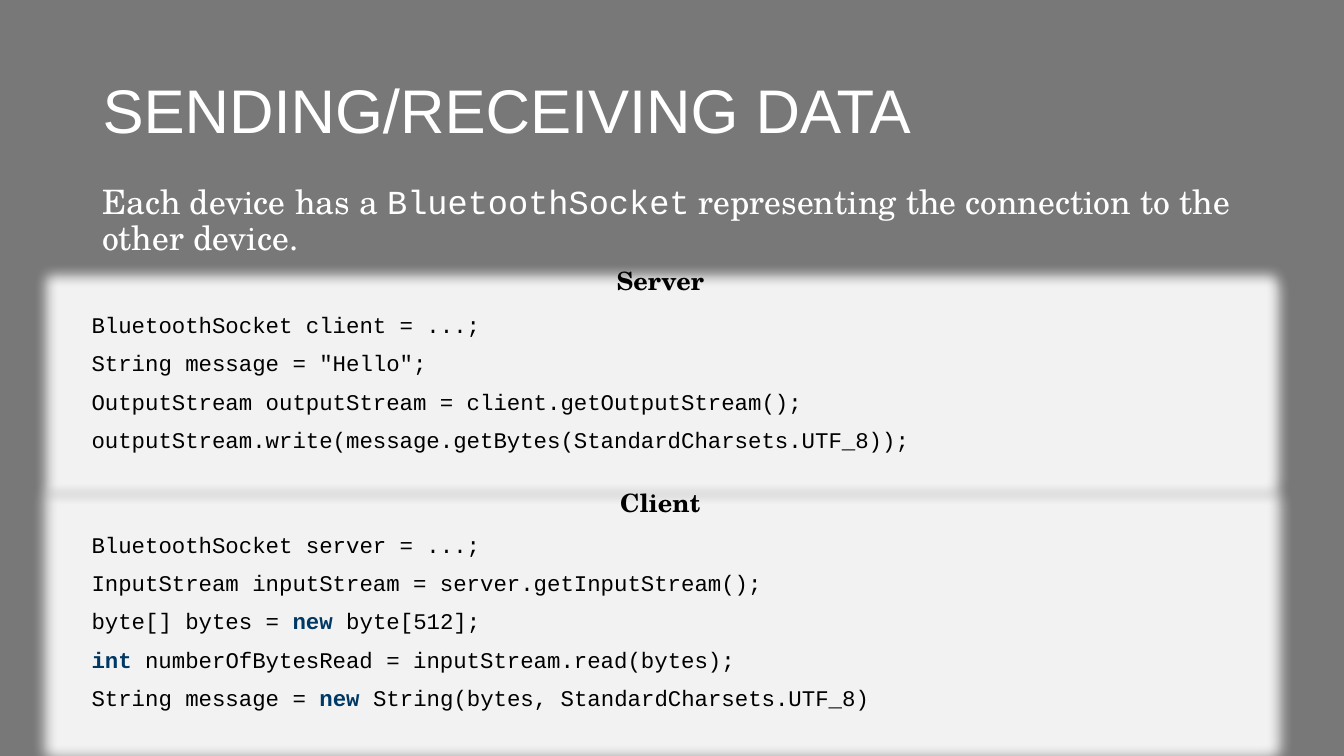
from lxml import etree
from pptx import Presentation
from pptx.dml.color import RGBColor
from pptx.enum import shapes, text
from pptx.oxml import ns
from pptx.util import Pt

GRAY = RGBColor(0x78, 0x78, 0x78)
WHITE = RGBColor(0xFF, 0xFF, 0xFF)
BLACK = RGBColor(0, 0, 0)
PALE = RGBColor(0xF2, 0xF2, 0xF2)
NAVY = RGBColor(0x00, 0x38, 0x65)

SANS, SERIF, MONO = "Arial", "TeX Gyre Schola", "Courier New"
LEFT, WIDE = 66.24, 828
KEY = {"bold": True, "color": NAVY}

SERVER = [
    ["BluetoothSocket client = ...;"],
    ['String message = "Hello";'],
    ["OutputStream outputStream = client.getOutputStream();"],
    ["outputStream.write(message.getBytes(StandardCharsets.UTF_8));"],
]
CLIENT = [
    ["BluetoothSocket server = ...;"],
    ["InputStream inputStream = server.getInputStream();"],
    ["byte[] bytes = ", ("new", KEY), " byte[512];"],
    [("int ", KEY), "numberOfBytesRead = inputStream.read(bytes);"],
    ["String message = ", ("new", KEY), " String(bytes, StandardCharsets.UTF_8)"],
]


def write(shape, lines, size, font=SERIF, color=WHITE, bold=False,
          align=text.PP_ALIGN.LEFT, anchor=text.MSO_ANCHOR.TOP,
          spacing=None, gap=0):
    """Fill a shape with lines; a run is a string or (string, overrides)."""
    frame = shape.text_frame
    frame.word_wrap = True
    frame.vertical_anchor = anchor
    for i, line in enumerate(lines):
        para = frame.add_paragraph() if i else frame.paragraphs[0]
        para.alignment = align
        para.line_spacing = spacing
        para.space_before = Pt(gap if i else 0)
        for part in line:
            words, extra = (part, {}) if isinstance(part, str) else part
            run = para.add_run()
            run.text = words
            run.font.size = Pt(size)
            run.font.name = extra.get("font", font)
            run.font.bold = extra.get("bold", bold)
            run.font.color.rgb = extra.get("color", color)


def label(slide, x, y, w, h, lines, size, **style):
    box = slide.shapes.add_textbox(Pt(x), Pt(y), Pt(w), Pt(h))
    write(box, lines, size, **style)


def add_glow(shape, radius):
    props = shape._element.spPr
    for old in props.findall(ns.qn("a:effectLst")):
        props.remove(old)
    effects = etree.SubElement(props, ns.qn("a:effectLst"))
    glow = etree.SubElement(effects, ns.qn("a:glow"), rad=str(Pt(radius)))
    etree.SubElement(glow, ns.qn("a:srgbClr"), val=str(PALE))


def rule(slide, x, y, w):
    line = slide.shapes.add_connector(
        shapes.MSO_CONNECTOR.STRAIGHT, Pt(x), Pt(y), Pt(x + w), Pt(y))
    line.line.color.rgb = WHITE
    line.line.width = Pt(0.75)
    etree.SubElement(line._element.spPr, ns.qn("a:effectLst"))


def header(slide, x, y, w):
    label(slide, x, y, w, 104.4, [["SENDING/RECEIVING DATA"]], 44,
          font=SANS, anchor=text.MSO_ANCHOR.MIDDLE, spacing=0.9)
    intro = ["Each device has a ", ("BluetoothSocket", {"font": MONO}),
             " representing the connection to the other device."]
    label(slide, x, y + 100, w, 60, [intro], 24, spacing=0.9)


def panel(slide, x, y, w, h, name, rise, code):
    """Glowing code box with its name centred above."""
    box = slide.shapes.add_shape(
        shapes.MSO_SHAPE.RECTANGLE, Pt(x), Pt(y), Pt(w), Pt(h))
    box.fill.solid()
    box.fill.fore_color.rgb = PALE
    box.line.fill.background()
    add_glow(box, 18)
    write(box, code, 16, font=MONO, color=BLACK, spacing=0.9, gap=10)
    wide = 200.88
    label(slide, x + (w - wide) / 2 - 0.72, y - rise, wide, 28.8, [[name]], 18,
          color=BLACK, bold=True, align=text.PP_ALIGN.CENTER)


def main():
    deck = Presentation()
    deck.slide_width, deck.slide_height = Pt(960), Pt(540)
    slide = deck.slides.add_slide(deck.slide_layouts[6])
    slide.background.fill.solid()
    slide.background.fill.fore_color.rgb = GRAY

    # Footer line, partly behind the lower panel
    rule(slide, 41.04, 516.96, 704.88)
    # Title and introduction
    header(slide, LEFT, 28.8, WIDE)
    # Code for each side of the connection
    panel(slide, 58.32, 221.04, WIDE, 108, "Server", 35.28, SERVER)
    panel(slide, 58.32, 378, WIDE, 135.36, "Client", 33.12, CLIENT)

    deck.save("out.pptx")


if __name__ == "__main__":
    main()
